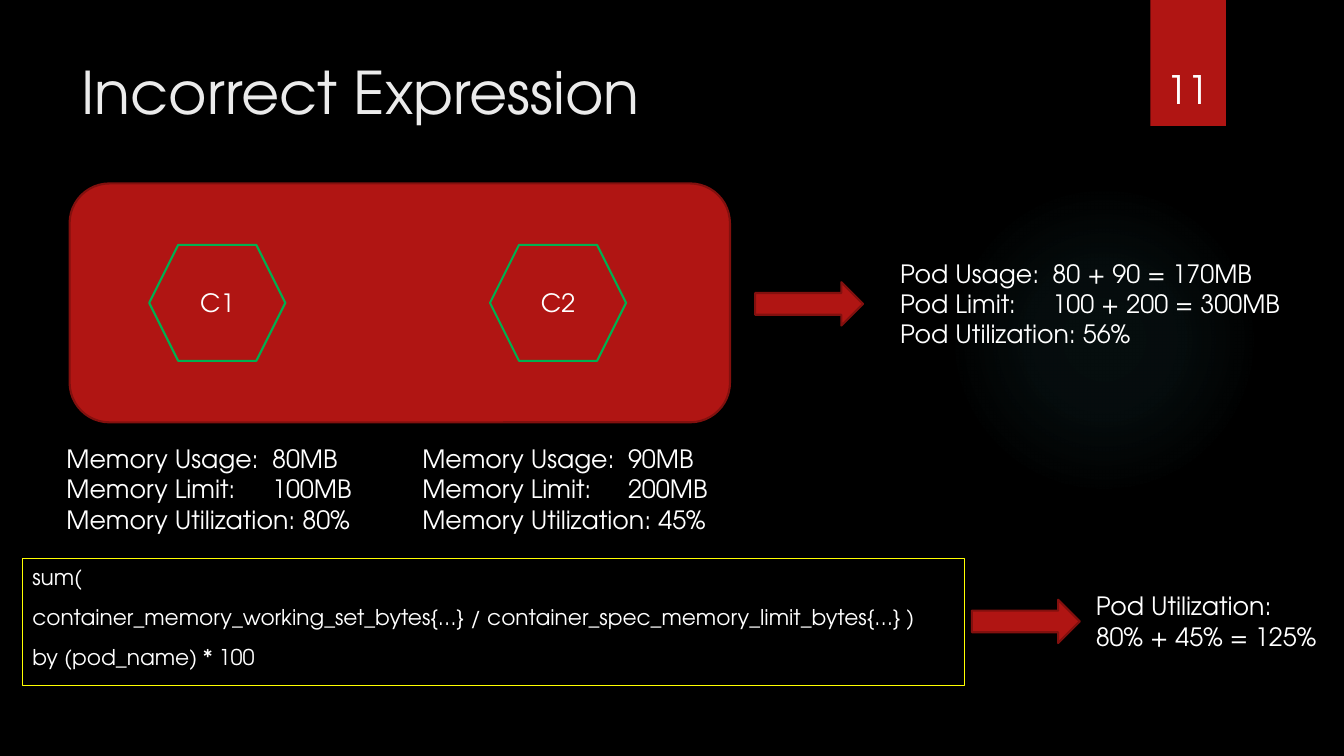
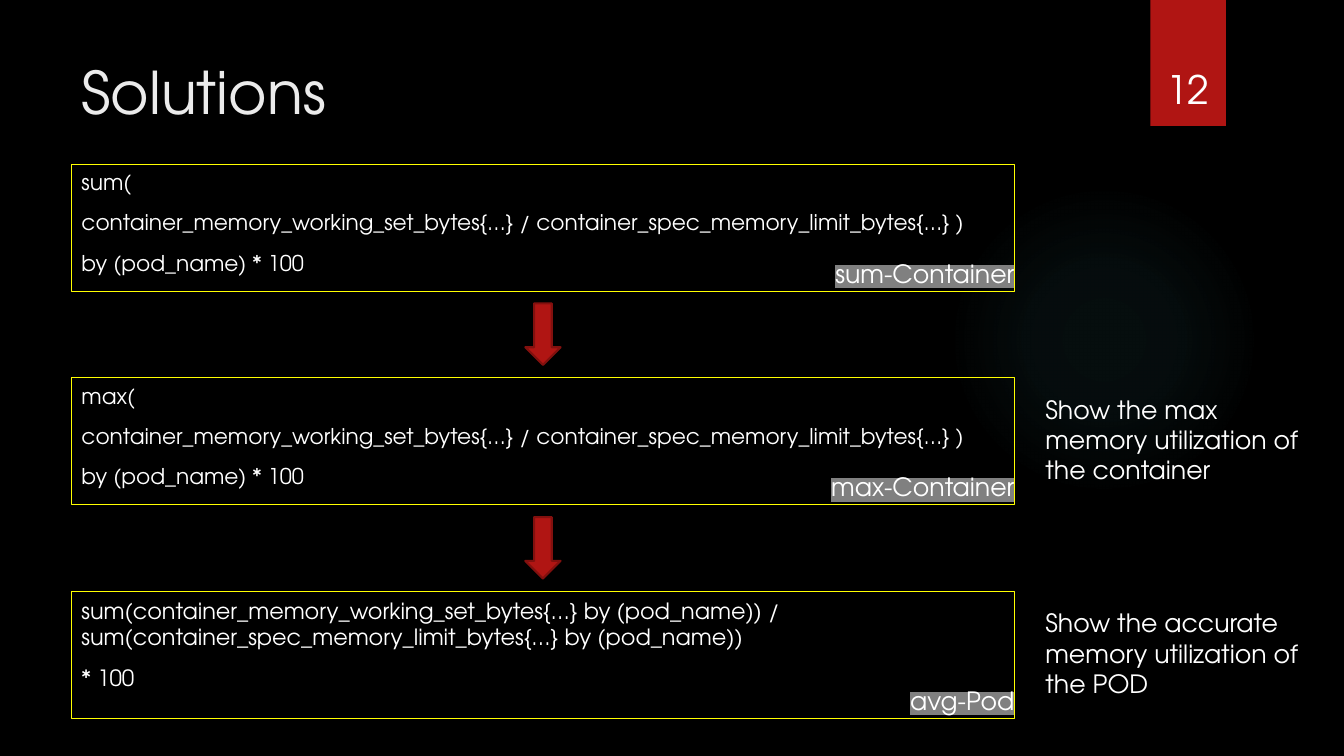
from lxml.etree import SubElement
from pptx import Presentation
from pptx.dml.color import RGBColor
from pptx.enum.shapes import MSO_SHAPE
from pptx.enum.text import MSO_ANCHOR, MSO_AUTO_SIZE, PP_ALIGN
from pptx.oxml import parse_xml
from pptx.oxml.ns import nsdecls, qn
from pptx.util import Inches, Pt

# Shared style
FONT = "TeX Gyre Adventor"
BLACK, WHITE, TITLE_COLOR = "000000", "FFFFFF", "EBEBEB"
RED, DARK_RED = "B01513", "82100E"
GREEN, YELLOW, GRAY, TEAL = "00B050", "FFFF00", "808080", "50B9C1"
BOX_WIDTH, BOX_HEIGHT = 9.35, 1.26

# Content
RATIO = "container_memory_working_set_bytes{…} / container_spec_memory_limit_bytes{…} )"
SUM_QUERY = ["sum(", RATIO, "by (pod_name) * 100"]
MAX_QUERY = ["max(", RATIO, "by (pod_name) * 100"]
POD_QUERY = [
    "sum(container_memory_working_set_bytes{…} by (pod_name)) / "
    "sum(container_spec_memory_limit_bytes{…} by (pod_name))",
    "* 100",
]
CONTAINERS = [  # name, hexagon left, text left, text lines
    ("C1", 1.48, 0.56, ["Memory Usage:\t80MB", "Memory Limit:\t100MB",
                        "Memory Utilization: 80%"]),
    ("C2", 4.86, 4.09, ["Memory Usage:\t90MB", "Memory Limit:\t200MB",
                        "Memory Utilization: 45%"]),
]
POD_TOTALS = ["Pod Usage:\t80 + 90 = 170MB", "Pod Limit:\t100 + 200 = 300MB",
              "Pod Utilization: 56%"]
WRONG_RESULT = ["Pod Utilization:", "80% + 45% = 125%"]
SOLUTIONS = [  # query, text size, tag, note
    (SUM_QUERY, 15.5, "sum-Container", None),
    (MAX_QUERY, 15.5, "max-Container",
     "Show the max memory utilization of the container"),
    (POD_QUERY, 16, "avg-Pod",
     "Show the accurate memory utilization of the POD"),
]


def color(value):
    return RGBColor.from_string(value)


def place(shape, left, top, width, height):
    shape.left, shape.top = Inches(left), Inches(top)
    shape.width, shape.height = Inches(width), Inches(height)


def write(shape, lines, size=18, text_color=WHITE, align=PP_ALIGN.LEFT,
          anchor=MSO_ANCHOR.TOP, space_before=0, tab=None, highlight=None):
    frame = shape.text_frame
    frame.word_wrap = True
    frame.auto_size = MSO_AUTO_SIZE.NONE
    frame.vertical_anchor = anchor
    for index, line in enumerate(lines):
        paragraph = frame.add_paragraph() if index else frame.paragraphs[0]
        paragraph.alignment = align
        paragraph.space_before = Pt(space_before)
        if tab and "\t" in line:
            stops = SubElement(paragraph._p.get_or_add_pPr(), qn("a:tabLst"))
            SubElement(stops, qn("a:tab"), pos=str(Inches(tab)), algn="l")
        run = paragraph.add_run()
        run.text = line
        run.font.name, run.font.size = FONT, Pt(size)
        run.font.color.rgb = color(text_color)
        if highlight:
            run.font._element.find(qn("a:solidFill")).addnext(parse_xml(
                f'<a:highlight {nsdecls("a")}><a:srgbClr val="{highlight}"/></a:highlight>'))


def add_text(slide, left, top, width, height, lines, **style):
    box = slide.shapes.add_textbox(0, 0, 0, 0)
    place(box, left, top, width, height)
    write(box, lines, **style)


def add_figure(slide, kind, left, top, width, height, fill=RED, line=DARK_RED,
               line_width=1.5):
    shape = slide.shapes.add_shape(kind, 0, 0, 0, 0)
    place(shape, left, top, width, height)
    shape.shadow.inherit = False
    if fill:
        shape.fill.solid()
        shape.fill.fore_color.rgb = color(fill)
    else:
        shape.fill.background()
    if line:
        shape.line.color.rgb = color(line)
        shape.line.width = Pt(line_width)
    else:
        shape.line.fill.background()
    return shape


def decorate_master(presentation, slide):
    """Draw the glow and the number band, then move them to the master."""
    master = presentation.slide_master
    master.background.fill.solid()
    master.background.fill.fore_color.rgb = color(BLACK)

    glow = add_figure(slide, MSO_SHAPE.OVAL, 9.41, 1.83, 3.08, 3.08, None, None)
    stops = "".join(
        f'<a:gs pos="{position * 1000}"><a:srgbClr val="{TEAL}">'
        f'<a:alpha val="{alpha * 1000}"/></a:srgbClr></a:gs>'
        for position, alpha in [(0, 7), (36, 6), (69, 0)])
    properties = glow._element.spPr
    properties.replace(properties.find(qn("a:noFill")), parse_xml(
        f'<a:gradFill {nsdecls("a")}><a:gsLst>{stops}</a:gsLst><a:path path="circle">'
        '<a:fillToRect l="50000" t="50000" r="50000" b="50000"/></a:path></a:gradFill>'))

    band = add_figure(slide, MSO_SHAPE.RECTANGLE, 11.41, 0, 0.75, 1.25, line=None)
    band._element.spPr.find(qn("a:effectLst")).append(parse_xml(
        f'<a:outerShdw {nsdecls("a")} blurRad="{Pt(3)}" dist="{Pt(2)}" dir="5400000">'
        f'<a:srgbClr val="{BLACK}"><a:alpha val="45000"/></a:srgbClr></a:outerShdw>'))

    for position, shape in enumerate((glow, band), start=2):
        master.shapes.element.insert(position, shape._element)


def start_slide(presentation, layout, title, number):
    slide = presentation.slides.add_slide(presentation.slide_layouts[layout])
    place(slide.shapes.title, 0.71, 0.5, 10.29, 1.53)
    write(slide.shapes.title, [title], size=42, text_color=TITLE_COLOR)
    add_text(slide, 11.32, 0.32, 0.92, 0.84, [str(number)], size=28,
             align=PP_ALIGN.CENTER, anchor=MSO_ANCHOR.BOTTOM)
    return slide


def fill_query(box, lines, size=15.5):
    write(box, lines, size=size, space_before=10)


def build_incorrect(slide):
    # Query in the body placeholder
    body = slide.placeholders[1]
    place(body, 0.22, 5.54, BOX_WIDTH, BOX_HEIGHT)
    body.line.color.rgb = color(YELLOW)
    body.line.width = Pt(0.75)
    fill_query(body, SUM_QUERY)
    for paragraph in body.text_frame.paragraphs:
        properties = paragraph._p.get_or_add_pPr()
        properties.set("marL", "0")
        properties.set("indent", "0")
        SubElement(properties, qn("a:buNone"))

    # Pod with its containers
    add_figure(slide, MSO_SHAPE.ROUNDED_RECTANGLE, 0.69, 1.82, 6.55, 2.37)
    for name, hexagon_left, text_left, lines in CONTAINERS:
        hexagon = add_figure(slide, MSO_SHAPE.HEXAGON, hexagon_left, 2.43,
                             1.35, 1.15, line=GREEN)
        write(hexagon, [name], align=PP_ALIGN.CENTER, anchor=MSO_ANCHOR.MIDDLE)
        add_text(slide, text_left, 4.35, 3.21, 1.01, lines, tab=2.04)

    # Results
    for left, top in [(7.49, 2.8), (9.64, 5.95)]:
        add_figure(slide, MSO_SHAPE.RIGHT_ARROW, left, top, 1.07, 0.43)
    add_text(slide, 8.83, 2.51, 4.17, 1.01, POD_TOTALS, tab=1.51)
    add_text(slide, 10.77, 5.81, 2.44, 0.71, WRONG_RESULT)


def build_solutions(slide):
    left, first_top, pitch = 0.71, 1.63, 2.12
    arrow_width, tag_width = 0.35, 2.1
    for index, (query, size, tag, note) in enumerate(SOLUTIONS):
        top = first_top + index * pitch
        box = add_figure(slide, MSO_SHAPE.RECTANGLE, left, top, BOX_WIDTH,
                         BOX_HEIGHT, None, YELLOW, 0.75)
        fill_query(box, query, size)
        add_text(slide, left + BOX_WIDTH + 0.1 - tag_width, top + 0.88,
                 tag_width, 0.4, [tag], align=PP_ALIGN.RIGHT, highlight=GRAY)
        if note:
            add_text(slide, 10.27, top + 0.11, 2.8, 1.01, [note])
        if index < len(SOLUTIONS) - 1:
            add_figure(slide, MSO_SHAPE.DOWN_ARROW,
                       left + (BOX_WIDTH - arrow_width) / 2, top + 1.38,
                       arrow_width, 0.61)


def main():
    presentation = Presentation()
    presentation.slide_width, presentation.slide_height = Inches(13.33), Inches(7.5)
    incorrect = start_slide(presentation, 1, "Incorrect Expression", 11)
    decorate_master(presentation, incorrect)
    build_incorrect(incorrect)
    build_solutions(start_slide(presentation, 5, "Solutions", 12))
    presentation.save("out.pptx")


if __name__ == "__main__":
    main()
